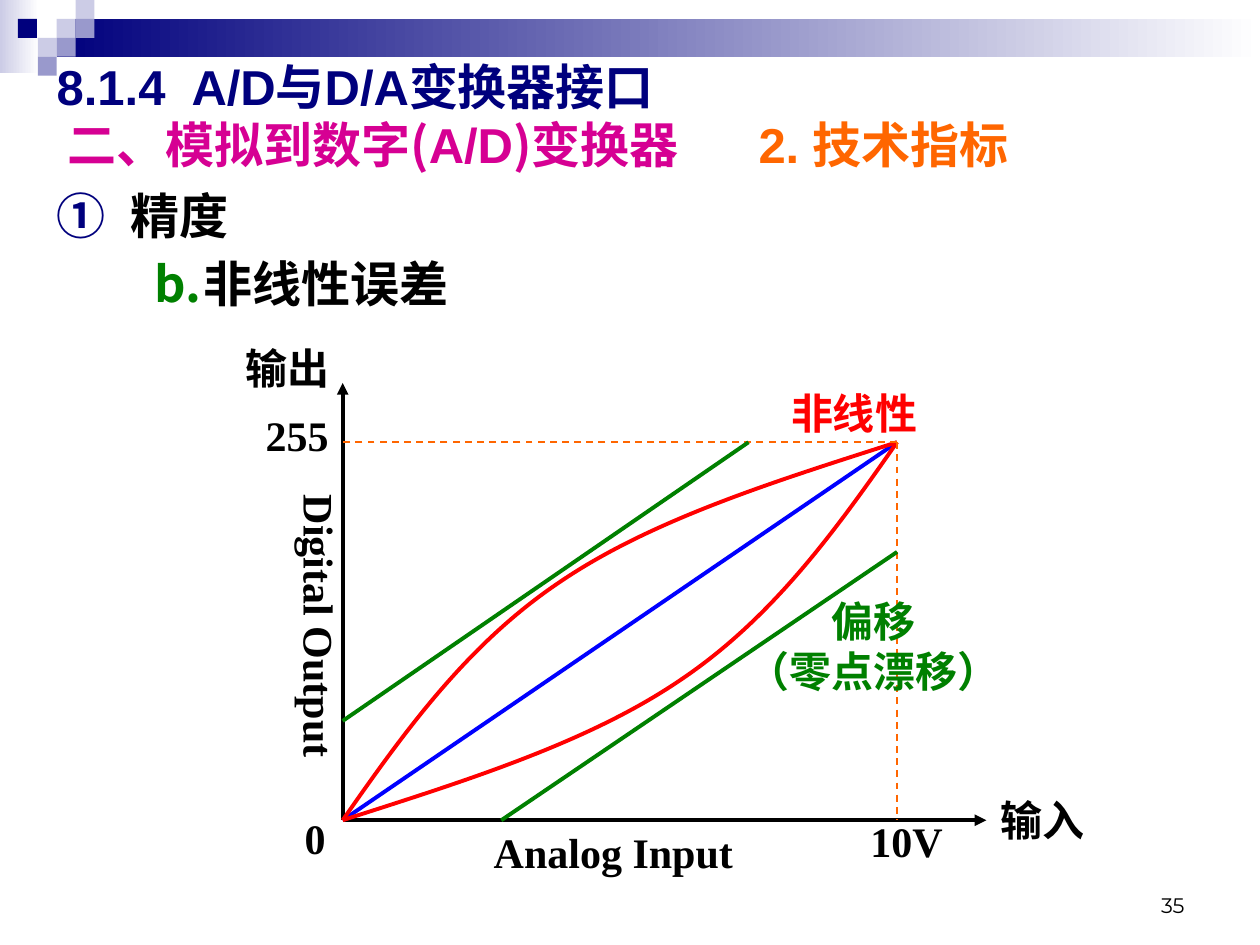
from lxml import etree
from pptx import Presentation, util as u
from pptx.dml.color import RGBColor
from pptx.enum import dml, shapes, text
from pptx.oxml.ns import qn

NAVY, LILAC, PALE = "00007D", "9999CC", "CCCCE6"
BLACK, RED, GREEN, ORANGE, BLUE = "000000", "FF0000", "008000", "FF6600", "0000FF"
MAGENTA = "D60093"
SERIF, CJK = "Times New Roman", "Noto Sans CJK SC"
FULL_VOLTS, FULL_CODE = 10, 255
CELL = 0.15


def color(value):
    return RGBColor.from_string(value)


def child(parent, tag, **attributes):
    return etree.SubElement(parent, qn(tag), attributes)


def plot(volts, code):
    """Turn an input voltage and an output code into a point on the slide."""
    x = 2.72 + 4.4 * volts / FULL_VOLTS
    y = 6.51 - 3 * code / FULL_CODE
    return u.Inches(x), u.Inches(y)


def add_block(page, left, top, width, height, fill, fade_to=None):
    block = page.shapes.add_shape(shapes.MSO_SHAPE.RECTANGLE,
                                  *map(u.Inches, (left, top, width, height)))
    block.shadow.inherit = False
    block.line.fill.background()
    if fade_to:
        block.fill.gradient()
        block.fill.gradient_angle = 0
        for stop, shade in zip(block.fill.gradient_stops, (fill, fade_to)):
            stop.color.rgb = color(shade)
    else:
        block.fill.solid()
        block.fill.fore_color.rgb = color(fill)


def add_span(para, words, size=24, font=SERIF, ink=BLACK, bold=True):
    span = para.add_run()
    span.text = words
    span.font.size, span.font.bold, span.font.name = u.Pt(size), bold, font
    span.font.color.rgb = color(ink)
    child(span._r.get_or_add_rPr(), "a:ea", typeface=CJK)
    para.line_spacing = u.Pt(round(size * 1.19, 1))


def place(box, left, top, width, height, anchor=text.MSO_ANCHOR.TOP):
    box.left, box.top, box.width, box.height = map(
        u.Inches, (left, top, width, height))
    frame = box.text_frame
    frame.word_wrap = True
    frame.auto_size = text.MSO_AUTO_SIZE.NONE
    frame.vertical_anchor = anchor
    return frame


def add_text(page, words, left, top, width, height, align=text.PP_ALIGN.LEFT,
             anchor=text.MSO_ANCHOR.TOP, vertical=False, **style):
    """Add a text box with one paragraph for each line of words."""
    frame = place(page.shapes.add_textbox(0, 0, 0, 0),
                  left, top, width, height, anchor)
    if vertical:
        frame._txBody.bodyPr.set("vert", "eaVert")
    for index, line in enumerate(words.split("\n")):
        para = frame.add_paragraph() if index else frame.paragraphs[0]
        para.alignment = align
        add_span(para, line, **style)


def add_line(page, start, end, ink, width=2.25, arrow=False, dashed=False):
    line = page.shapes.add_connector(shapes.MSO_CONNECTOR.STRAIGHT,
                                     *plot(*start), *plot(*end))
    line.line.color.rgb = color(ink)
    line.line.width = u.Pt(width)
    if dashed:
        line.line.dash_style = dml.MSO_LINE.DASH
    if arrow:
        child(line.line._get_or_add_ln(), "a:tailEnd", type="triangle")
    child(line._element.spPr, "a:effectLst")


def add_curve(page, points, ink):
    """Draw cubic curves: a start point, then two controls and an end each."""
    start, *rest = [plot(*point) for point in points]
    builder = page.shapes.build_freeform(*start)
    builder.add_line_segments(rest, close=False)
    curve = builder.convert_to_shape()
    curve.shadow.inherit = False
    curve.fill.background()
    curve.line.color.rgb = color(ink)
    curve.line.width = u.Pt(2.25)
    steps = list(curve._element.iter(qn("a:lnTo")))
    outline = steps[0].getparent()
    for first in range(0, len(steps), 3):
        bezier = child(outline, "a:cubicBezTo")
        for step in steps[first:first + 3]:
            bezier.append(step[0])
            outline.remove(step)


def add_banner(page):
    add_block(page, 0, 0, 0.31, 0.58, PALE, fade_to="FFFFFF")
    add_block(page, 0.45, CELL, 9.55, 2 * CELL, NAVY, fade_to="FFFFFF")
    for column, row, fill in ((3, 1, PALE), (4, 0, PALE), (4, 1, LILAC),
                              (2, 2, PALE), (0.95, 1, NAVY), (3, 2, LILAC),
                              (2, 3, LILAC)):
        add_block(page, column * CELL, row * CELL, CELL, CELL, fill)


def add_title(page):
    frame = place(page.shapes.title, 0.35, 0.4, 9.37, 1.02)
    para = frame.paragraphs[0]
    para.alignment = text.PP_ALIGN.LEFT
    tabs = child(para._p.get_or_add_pPr(), "a:tabLst")
    for stop in (1.07, 5.57):
        child(tabs, "a:tab", pos=str(u.Inches(stop)), algn="l")
    add_span(para, "8.1.4\tA/D与D/A变换器接口", 28, "Arial", NAVY)
    para.add_line_break()
    for words, font, ink in ((" 二、模拟到数字", "Arial", MAGENTA),
                             ("(", CJK, MAGENTA), ("A/D", "Arial", MAGENTA),
                             (")", CJK, MAGENTA), ("变换器\t", "Arial", MAGENTA),
                             ("2. 技术指标", "Arial", ORANGE)):
        add_span(para, words, 28, font, ink)


def add_outline(page):
    frame = place(page.shapes.add_textbox(0, 0, 0, 0), 0.35, 1.43, 9.45, 1.18)
    items = (("精度", 0, 0.59, -0.59, NAVY, {"type": "circleNumDbPlain"}),
             ("非线性误差", 1, 1.17, -0.39, GREEN,
              {"type": "alphaLcPeriod", "startAt": "2"}))
    for words, level, margin, indent, ink, numbering in items:
        para = frame.add_paragraph() if level else frame.paragraphs[0]
        para.level = level
        props = para._p.get_or_add_pPr()
        props.set("marL", str(u.Inches(margin)))
        props.set("indent", str(u.Inches(indent)))
        child(child(props, "a:buClr"), "a:srgbClr", val=ink)
        child(props, "a:buFont", typeface=CJK)
        child(props, "a:buAutoNum", **numbering)
        if level:
            para.space_before = u.Pt(5.6)
        add_span(para, words, 28)


def add_graph(page):
    origin, full = (0, 0), (FULL_VOLTS, FULL_CODE)
    add_line(page, origin, (11.61, 0), BLACK, arrow=True)
    add_line(page, origin, (0, 295), BLACK, arrow=True)
    add_line(page, origin, full, BLUE)
    upper = [origin, (1.11, 59.5), (2.25, 119), (3.93, 161),
             (5.59, 203), (7.8, 228.6), full]
    lower = [(FULL_VOLTS - volts, FULL_CODE - code)
             for volts, code in reversed(upper)]
    for points in (upper, lower):
        add_curve(page, points, RED)
    for end in ((0, FULL_CODE), (FULL_VOLTS, 0)):
        add_line(page, full, end, ORANGE, width=1, dashed=True)
    add_line(page, (0, 67), (7.32, FULL_CODE), GREEN)
    add_line(page, (2.86, 0), (FULL_VOLTS, 181), GREEN)


def add_labels(page):
    center = text.PP_ALIGN.CENTER
    add_text(page, "非线性", 6.18, 3.03, 1.26, 0.5, ink=RED)
    add_text(page, "偏移\n（零点漂移）", 5.71, 4.68, 2.44, 0.9, center, ink=GREEN)
    for words, left, top, width in (("输入", 7.84, 6.26, 1.02),
                                    ("输出", 1.85, 2.67, 1.02),
                                    ("0", 2.32, 6.4, 0.39),
                                    ("10V", 6.81, 6.43, 0.87),
                                    ("255", 2.01, 3.2, 0.87),
                                    ("Analog Input", 3.82, 6.51, 2.2)):
        add_text(page, words, left, top, width, 0.5)
    add_text(page, "Digital Output", 2.19, 3.83, 0.6, 2.44, center, vertical=True)
    add_text(page, "35", 7.17, 6.83, 2.33, 0.5, text.PP_ALIGN.RIGHT,
             text.MSO_ANCHOR.BOTTOM, size=12, font="Montserrat", bold=False)


def main():
    deck = Presentation()
    deck.slide_width, deck.slide_height = u.Inches(10), u.Inches(7.5)
    page = deck.slides.add_slide(deck.slide_layouts[5])
    add_banner(page)
    add_title(page)
    add_outline(page)
    add_graph(page)
    add_labels(page)
    deck.save("out.pptx")


if __name__ == "__main__":
    main()
